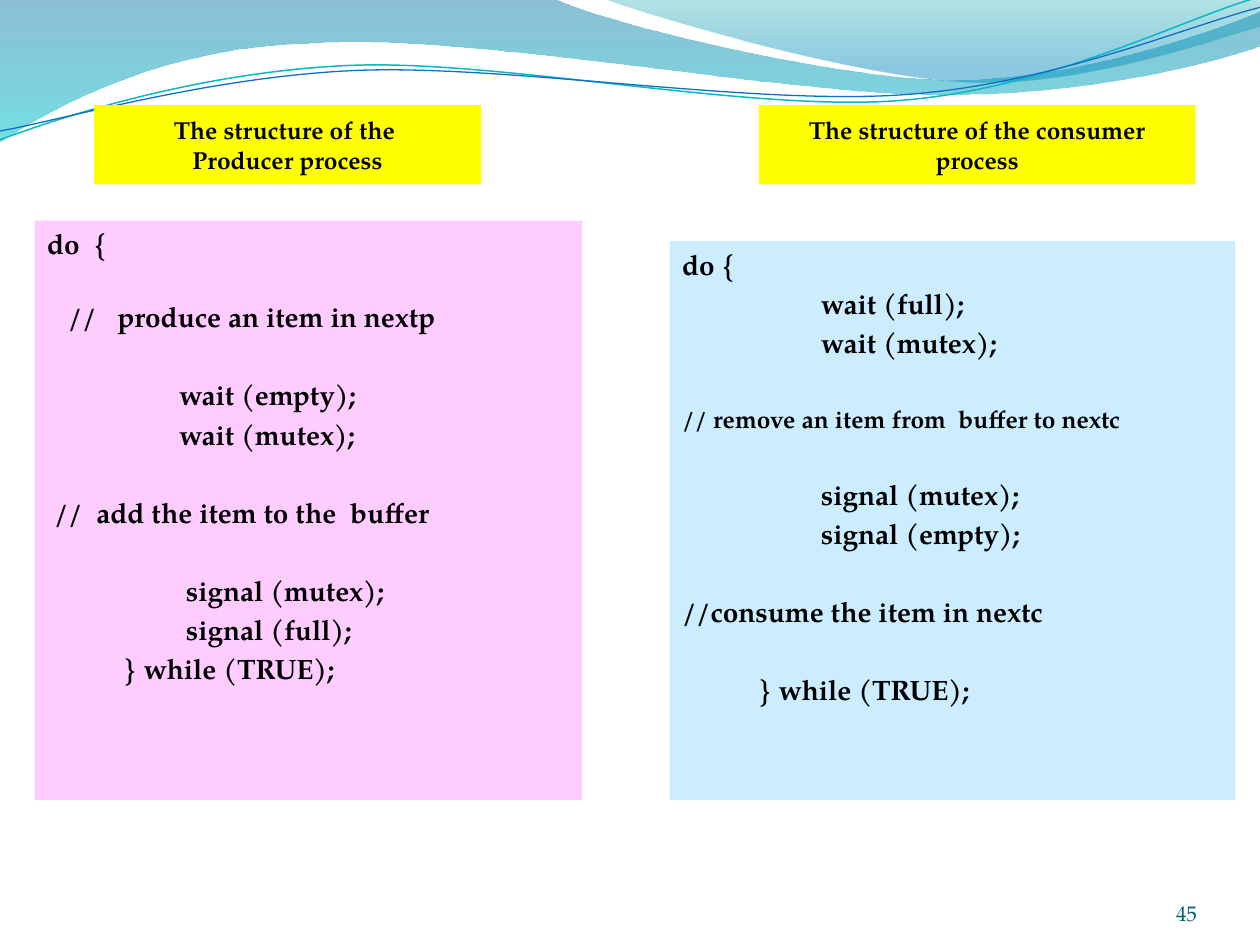
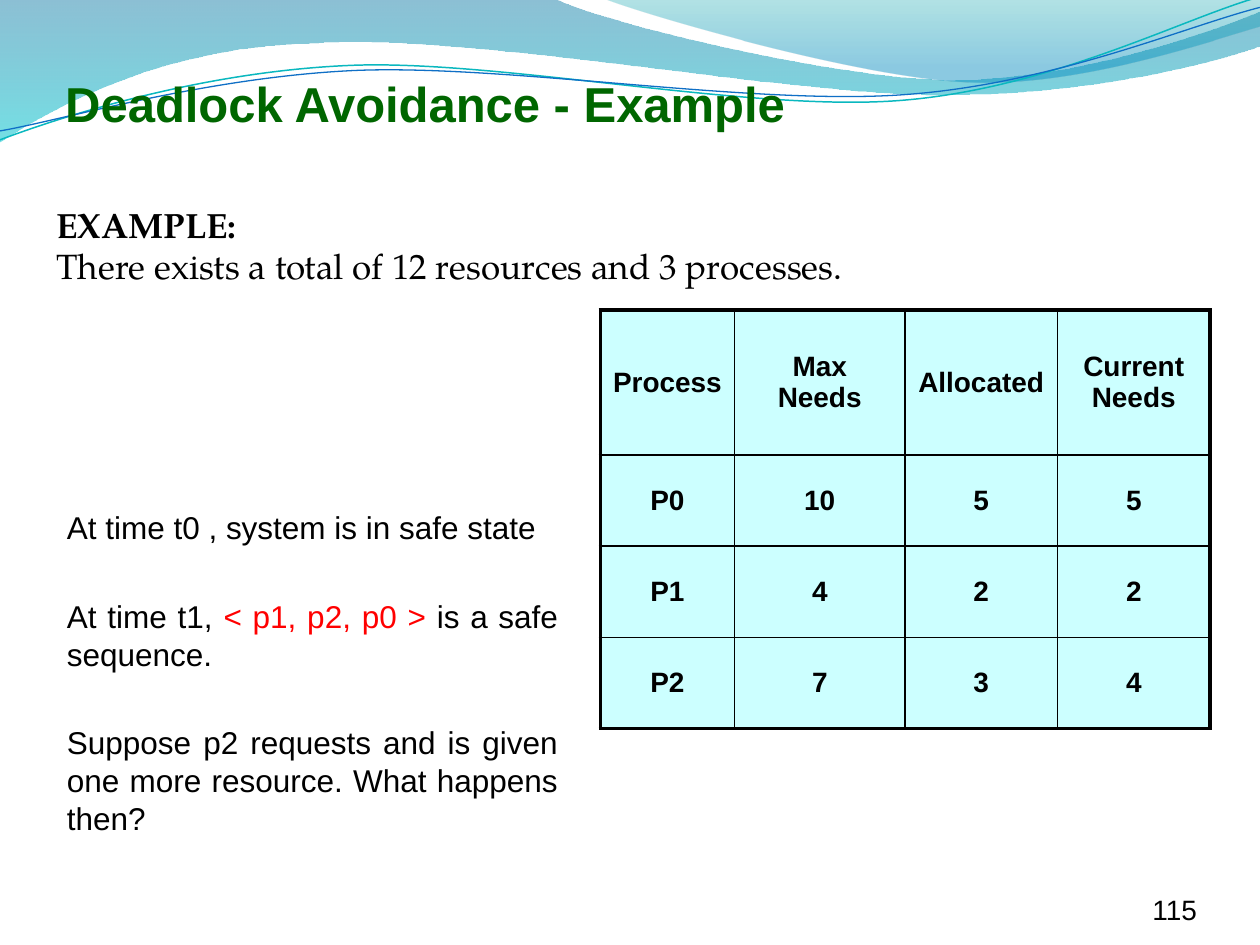
from lxml import etree
from pptx import Presentation
from pptx import util as u
from pptx.dml.color import RGBColor
from pptx.enum import shapes, text
from pptx.oxml import ns

SERIF, SANS = "TeX Gyre Pagella", "Arial"
BLACK = "000000"
CENTER, JUSTIFY = text.PP_ALIGN.CENTER, text.PP_ALIGN.JUSTIFY


def colour(code):
    return RGBColor.from_string(code)


def style(paragraph, size, font, hue=BLACK, bold=False, align=text.PP_ALIGN.LEFT, gap=0):
    paragraph.alignment = align
    paragraph.space_before = u.Pt(gap)
    for span in paragraph.runs:
        span.font.size = u.Pt(size)
        span.font.name = font
        span.font.bold = bold
        span.font.color.rgb = colour(hue)


deck = Presentation()
deck.slide_width, deck.slide_height = u.Cm(25.4), u.Cm(19.05)

# Wave outlines in cm: a start, then lines (2 numbers) and curves (6 numbers)
BROAD_WAVE = [(0, 0), (11.18, -0.03), (12.09, 0.43, 16.87, 1.6, 19.25, 1.6),
              (21.67, 1.6, 24.33, 0.66, 25.4, 0.23), (25.43, 0.91),
              (24.97, 1.12, 22.1, 1.93, 18.95, 1.91),
              (15.8, 1.91, 9.7, 0.71, 6.53, 0.86), (3.28, 0.91, 1.17, 2.11, -0.03, 2.87)]
RIGHT_WAVE = [(12.17, -0.03), (12.93, 0.28, 17.32, 1.57, 19.53, 1.65),
              (21.74, 1.75, 24.41, 0.81, 25.4, 0.53), (25.4, 0)]
TEAL_LINE = [(0, 2.82), (1.22, 2.36, 4.01, 1.45, 7.04, 1.32),
             (10.03, 1.19, 15.06, 2.26, 18.11, 2.03), (21.16, 1.8, 23.83, 0.38, 25.35, -0.05)]
BLUE_LINE = [(0, 2.64), (1.19, 2.44, 4.17, 1.55, 7.19, 1.42),
             (10.24, 1.3, 15.16, 2.13, 18.21, 1.91), (21.23, 1.7, 23.9, 0.53, 25.4, 0.15)]

# Outline, gradient stops (position, colour, opacity %), line (colour, points)
WAVES = [
    (BROAD_WAVE, [(0, "0074A1", 45), (1, "00C6CF", 55)], None),
    (RIGHT_WAVE, [(0, "00A1A9", 30), (0.8, "008BBF", 45)], None),
    (TEAL_LINE, None, ("0AB8BF", 0.85)),
    (BLUE_LINE, None, ("0F6FC6", 0.75)),
]

# Both pages: waves and page number
pages = []
for number, size, font, hue in [("45", 12, SERIF, "045D75"), ("115", 16, SANS, BLACK)]:
    page = deck.slides.add_slide(deck.slide_layouts[6])
    pages.append(page)
    for outline, stops, line in WAVES:
        corners = [(u.Cm(segment[-2]), u.Cm(segment[-1])) for segment in outline]
        builder = page.shapes.build_freeform(*corners[0])
        builder.add_line_segments(corners[1:], close=stops is not None)
        wave = builder.convert_to_shape()
        wave.shadow.inherit = False
        # Bend the straight segments that have control points
        for node, segment in zip(wave._element.xpath(".//a:lnTo"), outline[1:]):
            if len(segment) == 6:
                curve = etree.Element(ns.qn("a:cubicBezTo"))
                for x, y in zip(segment[::2], segment[1::2]):
                    etree.SubElement(curve, ns.qn("a:pt"), x=str(u.Cm(x) - wave.left),
                                     y=str(u.Cm(y) - wave.top))
                node.getparent().replace(node, curve)
        if stops:
            wave.line.fill.background()
            wave.fill.gradient()
            wave.fill.gradient_angle = 270
            for stop, (position, code, _) in zip(wave.fill.gradient_stops, stops):
                stop.position = position
                stop.color.rgb = colour(code)
            for node, (_, _, opacity) in zip(wave._element.xpath(".//a:gs/a:srgbClr"), stops):
                etree.SubElement(node, ns.qn("a:alpha"), val=str(opacity * 1000))
        else:
            wave.fill.background()
            wave.line.color.rgb = colour(line[0])
            wave.line.width = u.Pt(line[1])

    box = page.shapes.add_textbox(u.Cm(22.02), u.Cm(17.65), u.Cm(2.11), u.Cm(1.02))
    frame = box.text_frame
    frame.margin_left = frame.margin_right = frame.margin_top = frame.margin_bottom = 0
    frame.vertical_anchor = text.MSO_ANCHOR.BOTTOM
    frame.word_wrap = True
    frame.text = number
    style(frame.paragraphs[0], size, font, hue, align=text.PP_ALIGN.RIGHT)

# Page 1: producer and consumer code, as (indent in cm, space before, size, line)
NEAR, FAR = 3.2, 25.4
producer_code = [
    (0, 0, 16, "do  {"),
    (0.42, 22.5, 16, "//   produce an item in nextp"),
    (2.66, FAR, 16, "wait (empty);"),
    (2.66, NEAR, 16, "wait (mutex);"),
    (0.14, FAR, 16, "//  add the item to the  buffer"),
    (2.8, FAR, 16, "signal (mutex);"),
    (2.8, NEAR, 16, "signal (full);"),
    (1.54, NEAR, 16, "} while (TRUE);"),
]
consumer_code = [
    (0, 0, 16, "do {"),
    (2.8, NEAR, 16, "wait (full);"),
    (2.8, NEAR, 16, "wait (mutex);"),
    (0, FAR, 14, "// remove an item from  buffer to nextc"),
    (2.8, FAR, 16, "signal (mutex);"),
    (2.8, NEAR, 16, "signal (empty);"),
    (0, FAR, 16, "//consume the item in nextc"),
    (1.54, FAR, 16, "} while (TRUE);"),
]
producer_title = [(0, 0, 14, "The structure of the "), (0, 0, 14, "Producer process")]
consumer_title = [(0, 0, 14, "The structure of the consumer process")]
panels = [
    ((0.7, 4.45, 11.03, 11.68), "FFCCFF", producer_code, False),
    ((13.5, 4.86, 11.4, 11.27), "CCECFF", consumer_code, False),
    ((15.3, 2.12, 8.8, 1.6), "FFFF00", consumer_title, True),
    ((1.9, 2.12, 7.8, 1.6), "FFFF00", producer_title, True),
]
for place, fill, lines, is_title in panels:
    panel = pages[0].shapes.add_shape(shapes.MSO_SHAPE.RECTANGLE, *map(u.Cm, place))
    panel.shadow.inherit = False
    panel.fill.solid()
    panel.fill.fore_color.rgb = colour(fill)
    panel.line.fill.background()
    frame = panel.text_frame
    frame.word_wrap = True
    frame.vertical_anchor = text.MSO_ANCHOR.MIDDLE if is_title else text.MSO_ANCHOR.TOP
    frame.text = "\n".join(line for _, _, _, line in lines)
    for paragraph, (indent, gap, size, _) in zip(frame.paragraphs, lines):
        align = CENTER if is_title else text.PP_ALIGN.LEFT
        style(paragraph, size, SERIF, bold=True, align=align, gap=gap)
        paragraph._p.get_or_add_pPr().set("marL", str(u.Cm(indent)))

# Page 2: title, introduction and remarks
page = pages[1]
frames = []
for place, lines in [
    ((0.63, 1.36, 15.88, 1.45), ["Deadlock Avoidance - Example"]),
    ((0.89, 4.14, 21.49, 1.98),
     ["EXAMPLE:", "There exists a total of 12 resources and 3 processes."]),
    ((1.1, 10.12, 10.4, 7.04),
     ["At time t0 , system is in safe state", "At time t1, ",
      "Suppose p2 requests and is given one more resource. What happens then?"]),
]:
    frame = page.shapes.add_textbox(*map(u.Cm, place)).text_frame
    frame.word_wrap = True
    frame.text = "\n".join(lines)
    frames.append(frame)
title, introduction, remarks = frames

style(title.paragraphs[0], 28, SANS, "006600", bold=True, align=CENTER)
for index, paragraph in enumerate(introduction.paragraphs):
    style(paragraph, 20, SERIF, bold=index == 0, align=JUSTIFY, gap=4 * index)
    paragraph.line_spacing = 0.8

sequence = remarks.paragraphs[1]
for words in ["< p1, p2, p0 > ", "is a safe sequence. "]:
    sequence.add_run().text = words
for index, paragraph in enumerate(remarks.paragraphs):
    style(paragraph, 18, SANS, align=JUSTIFY, gap=29 if index else 0)
sequence.runs[1].font.color.rgb = colour("FF0000")

# Page 2: table of needs
needs = [
    ["Process", "Max Needs", "Allocated", "Current Needs"],
    ["P0", "10", "5", "5"],
    ["P1", "4", "2", "2"],
    ["P2", "7", "3", "4"],
]
widths, heights = [2.71, 3.43, 3.08, 3.07], [2.92, 1.84, 1.84, 1.84]
table = page.shapes.add_table(4, 4, u.Cm(12.1), u.Cm(6.25),
                              u.Cm(sum(widths)), u.Cm(sum(heights))).table
table.first_row = table.horz_banding = False
for column, width in zip(table.columns, widths):
    column.width = u.Cm(width)
for row, height in zip(table.rows, heights):
    row.height = u.Cm(height)
for r, values in enumerate(needs):
    for c, value in enumerate(values):
        cell = table.cell(r, c)
        cell.text = value
        cell.vertical_anchor = text.MSO_ANCHOR.MIDDLE
        cell.fill.solid()
        cell.fill.fore_color.rgb = colour("CCFFFF")
        style(cell.text_frame.paragraphs[0], 16, SANS, bold=True, align=CENTER)
        # Thick outer frame, thin inner lines
        sides = [("L", c == 0), ("R", c == 3), ("T", r == 0), ("B", r == 3)]
        for index, (side, is_outer) in enumerate(sides):
            edge = etree.Element(ns.qn("a:ln" + side), w=str(u.Pt(2.25 if is_outer else 1)))
            solid = etree.SubElement(edge, ns.qn("a:solidFill"))
            etree.SubElement(solid, ns.qn("a:srgbClr"), val=BLACK)
            cell._tc.get_or_add_tcPr().insert(index, edge)

deck.save("out.pptx")
